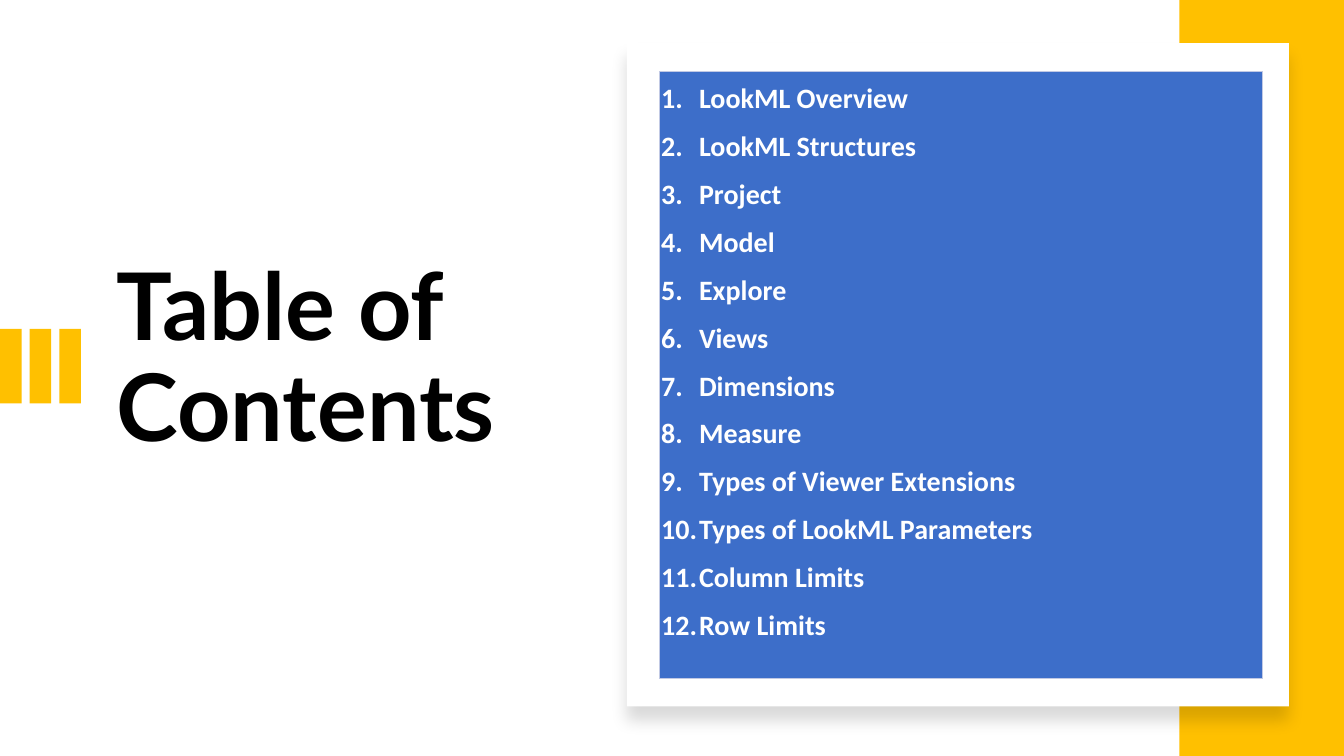
import lxml.etree
import pptx
import pptx.dml.color
import pptx.enum.shapes
import pptx.enum.text
import pptx.oxml
import pptx.oxml.ns
import pptx.util

Pt = pptx.util.Pt
RGBColor = pptx.dml.color.RGBColor
qn = pptx.oxml.ns.qn

AMBER = RGBColor(0xFF, 0xC0, 0x00)
WHITE = RGBColor(0xFF, 0xFF, 0xFF)
BLACK = RGBColor(0x00, 0x00, 0x00)
BLUE = RGBColor(0x3D, 0x6E, 0xC9)
EDGE = RGBColor(0xC1, 0xC9, 0xE4)

TOPICS = [
    "LookML Overview",
    "LookML Structures",
    "Project",
    "Model",
    "Explore",
    "Views",
    "Dimensions",
    "Measure",
    "Types of Viewer Extensions",
    "Types of LookML Parameters",
    "Column Limits",
    "Row Limits",
]


class ContentsPage:
    """Draw the elements of a contents slide in one shared style."""

    title_font = "Lato"
    list_font = "Calibri"

    def __init__(self, deck):
        self.page = deck.slides.add_slide(deck.slide_layouts[6])

    def style(self, paragraph, font, size, color, line_spacing, space_after):
        paragraph.line_spacing = line_spacing
        paragraph.space_after = Pt(space_after)
        for span in paragraph.runs:
            span.font.name = font
            span.font.size = Pt(size)
            span.font.bold = True
            span.font.color.rgb = color

    def title(self, text, left, top, width, height):
        box = self.page.shapes.add_textbox(Pt(left), Pt(top), Pt(width), Pt(height))
        box.text_frame.word_wrap = True
        box.text_frame.text = text
        self.style(box.text_frame.paragraphs[0], self.title_font, 66.6, BLACK, 0.9, 6)

    def block(self, left, top, width, height, color, shapes=None):
        shape = (shapes or self.page.shapes).add_shape(
            pptx.enum.shapes.MSO_SHAPE.RECTANGLE,
            Pt(left), Pt(top), Pt(width), Pt(height))
        shape.shadow.inherit = False
        shape.fill.solid()
        shape.fill.fore_color.rgb = color
        shape.line.fill.background()
        return shape

    def bars(self, count, left, top, width, height, step):
        group = self.page.shapes.add_group_shape()
        for index in range(count):
            self.block(left + index * step, top, width, height, AMBER, group.shapes)

    def card(self, left, top, width, height):
        shape = self.block(left, top, width, height, WHITE)
        effects = shape.element.spPr.find(qn("a:effectLst"))
        shadow = lxml.etree.SubElement(
            effects, qn("a:outerShdw"), blurRad=str(Pt(11)), dist=str(Pt(10)),
            dir="5400000", algn="t", rotWithShape="0")
        color = lxml.etree.SubElement(shadow, qn("a:srgbClr"), val=str(BLACK))
        lxml.etree.SubElement(color, qn("a:alpha"), val="15000")

    def borders(self, cell, sides):
        properties = cell._tc.get_or_add_tcPr()
        for index, side in enumerate("LRTB"):
            line = properties.makeelement(qn("a:ln" + side), {"w": str(Pt(0.5))})
            properties.insert(index, line)
            if side in sides:
                fill = lxml.etree.SubElement(line, qn("a:solidFill"))
                lxml.etree.SubElement(fill, qn("a:srgbClr"), val=str(EDGE))
            else:
                lxml.etree.SubElement(line, qn("a:noFill"))

    def number(self, paragraph):
        properties = paragraph._p.get_or_add_pPr()
        properties.set("marL", str(Pt(27)))
        properties.set("indent", str(Pt(-27)))
        lxml.etree.SubElement(properties, qn("a:buFont"), typeface="+mj-lt")
        lxml.etree.SubElement(properties, qn("a:buAutoNum"), type="arabicPeriod")
        tabs = lxml.etree.SubElement(properties, qn("a:tabLst"))
        lxml.etree.SubElement(tabs, qn("a:tab"), pos=str(Pt(36)), algn="l")

    def contents(self, topics, left, top, width, heights):
        table = self.page.shapes.add_table(
            len(heights), 1, Pt(left), Pt(top), Pt(width), Pt(sum(heights))).table
        table.columns[0].width = Pt(width)
        for row, height, sides in zip(table.rows, heights, ("LRT", "LRB")):
            row.height = Pt(height)
            cell = row.cells[0]
            cell.margin_left = cell.margin_right = cell.margin_top = Pt(1.44)
            cell.margin_bottom = Pt(0)
            cell.vertical_anchor = pptx.enum.text.MSO_ANCHOR.BOTTOM
            cell.fill.solid()
            cell.fill.fore_color.rgb = BLUE
            self.borders(cell, sides)
        frame = table.cell(0, 0).text_frame
        frame.text = "\n".join(topics)
        for paragraph in frame.paragraphs:
            self.number(paragraph)
            self.style(paragraph, self.list_font, 20, WHITE, 1.07, 8)


def main():
    deck = pptx.Presentation()
    deck.slide_width, deck.slide_height = Pt(960), Pt(540)
    contents_page = ContentsPage(deck)
    contents_page.title("Table of Contents", 76.3, 182.2, 317.5, 188)
    contents_page.bars(3, 0, 234.9, 15.4, 53.2, 21.2)
    contents_page.block(842.4, 0, 117.6, 540, AMBER)
    contents_page.card(447.8, 30.8, 473, 473.8)
    contents_page.contents(TOPICS, 470.9, 51.1, 430.6, (408.2, 25.2))
    deck.save("out.pptx")


if __name__ == "__main__":
    main()
